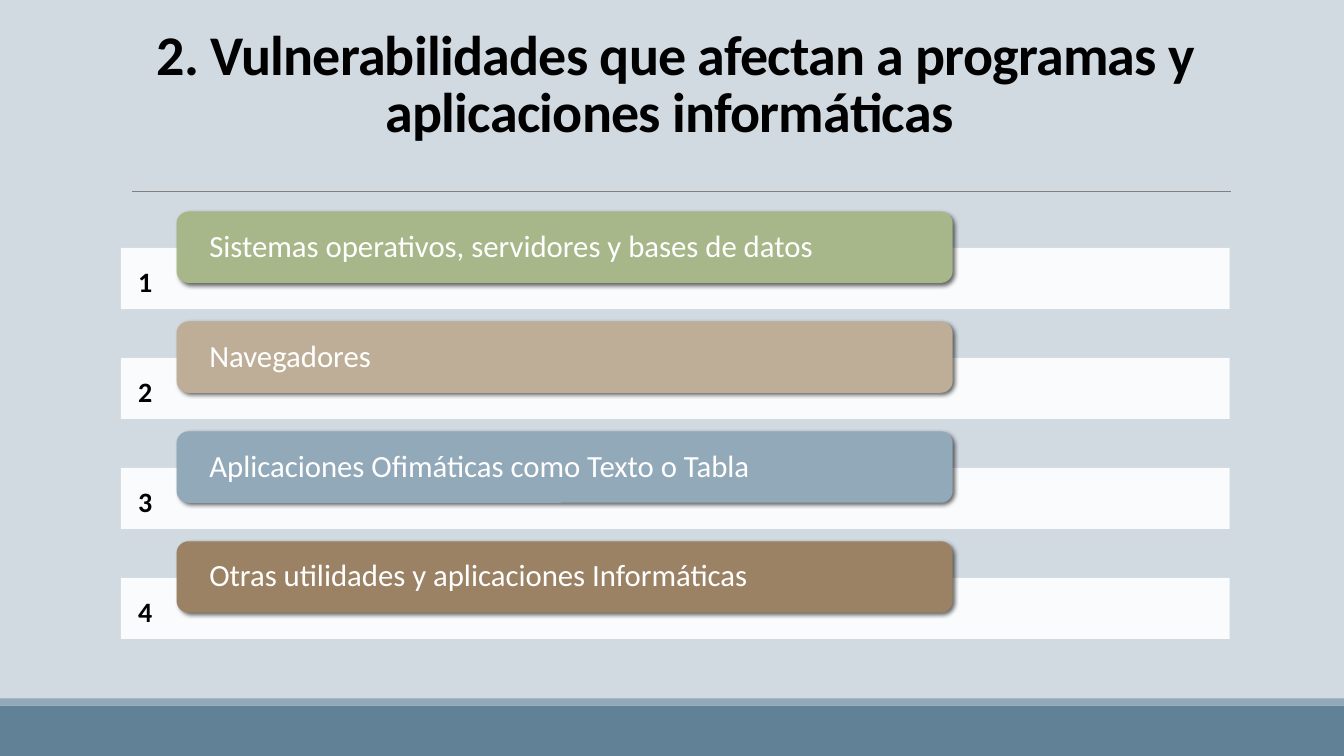
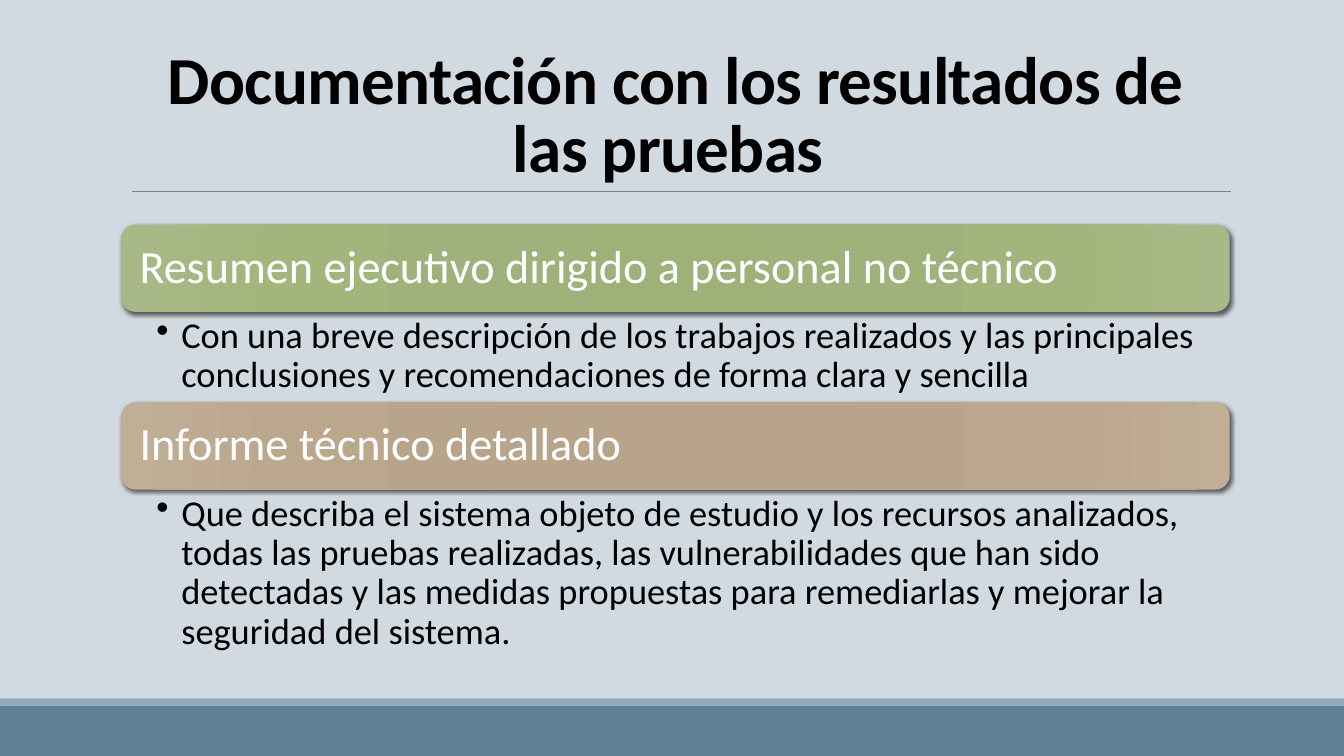
from lxml.etree import SubElement
from pptx import Presentation
from pptx.dml.color import RGBColor
from pptx.enum.shapes import MSO_CONNECTOR as Connector, MSO_SHAPE as Preset
from pptx.enum.text import MSO_ANCHOR as Anchor, MSO_AUTO_SIZE as AutoSize, PP_ALIGN as Align
from pptx.oxml.ns import qn
from pptx.util import Cm, Pt

# Shared look
FONT = "Calibri"
BLACK, WHITE = "000000", "FFFFFF"
BACKGROUND, SLATE, MIST, RULE_GREY = "D1D9E1", "618197", "92A9B9", "808080"
GREEN, SAND, BROWN = "A7B789", "BEAE98", "9C8265"
GREEN_GLOW = ("9EB179", "9FB27C", "A2B57C", "A8B987")
SAND_GLOW = ("B6A388", "B7A48B", "BBA78C", "C0AE96")
GLOW_STOPS = (0, 34, 70, 100)
CONTENT_LEFT, CONTENT_WIDTH = 3.05, 27.94

# Content
PROGRAMS = [
    ("Sistemas operativos, servidores y bases de datos", GREEN),
    ("Navegadores", SAND),
    ("Aplicaciones Ofimáticas como Texto o Tabla", MIST),
    ("Otras utilidades y aplicaciones Informáticas", BROWN),
]
REPORTS = [
    ("Resumen ejecutivo dirigido a personal no técnico", GREEN_GLOW,
     "Con una breve descripción de los trabajos realizados y las principales "
     "conclusiones y recomendaciones de forma clara y sencilla", 2.28),
    ("Informe técnico detallado", SAND_GLOW,
     "Que describa el sistema objeto de estudio y los recursos analizados, todas "
     "las pruebas realizadas, las vulnerabilidades que han sido detectadas y las "
     "medidas propuestas para remediarlas y mejorar la seguridad del sistema.", 4.27),
]


def colour(value):
    return RGBColor.from_string(value)


def lengths(*values):
    return [Cm(value) for value in values]


def node(parent, tag, **attributes):
    child = SubElement(parent, qn(tag))
    for name, value in attributes.items():
        child.set(name, str(value))
    return child


# Text
def write(frame, text, size, ink, bold=False, spacing=1.0, align=Align.LEFT):
    para = frame.paragraphs[0]
    para.alignment = align
    para.line_spacing = spacing
    span = para.add_run()
    span.text = text
    span.font.name = FONT
    span.font.size = Pt(size)
    span.font.bold = bold
    span.font.color.rgb = colour(ink)
    return para, span


def set_frame(frame, anchor, insets=(0.25, 0.13, 0.25, 0.13)):
    frame.word_wrap = True
    frame.auto_size = AutoSize.NONE
    frame.vertical_anchor = anchor
    (frame.margin_left, frame.margin_top,
     frame.margin_right, frame.margin_bottom) = lengths(*insets)


def add_text(page, area, insets=(0.25, 0.13, 0.25, 0.13)):
    box = page.shapes.add_textbox(*lengths(*area))
    set_frame(box.text_frame, Anchor.TOP, insets)
    return box.text_frame


def add_bullet(page, area, text):
    frame = add_text(page, area, (0.89, 0.13, 0.66, 0.13))
    para, _ = write(frame, text, 26, BLACK, spacing=0.9)
    properties = para._p.get_or_add_pPr()
    properties.set("marL", str(Cm(0.63)))
    properties.set("indent", str(-Cm(0.63)))
    node(properties, "a:buChar", char="•")


def set_title(page, area, text, size):
    title = page.shapes.title
    title.left, title.top, title.width, title.height = lengths(*area)
    set_frame(title.text_frame, Anchor.BOTTOM)
    _, span = write(title.text_frame, text, size, BLACK, True, 0.85, Align.CENTER)
    span.font._element.set("spc", "-50")


# Shapes
def add_block(page, area, fill, preset=Preset.RECTANGLE, opacity=100):
    block = page.shapes.add_shape(preset, *lengths(*area))
    block.shadow.inherit = False
    block.line.fill.background()
    block.fill.solid()
    block.fill.fore_color.rgb = colour(fill)
    if opacity < 100:
        tint = block.element.spPr.find(qn("a:solidFill"))[0]
        node(tint, "a:alpha", val=opacity * 1000)
    return block


def add_card(page, area, fill, text, size, insets):
    card = add_block(page, area, fill, Preset.ROUNDED_RECTANGLE)
    effects = card.element.spPr.find(qn("a:effectLst"))
    shadow = node(effects, "a:outerShdw", blurRad=Pt(3), dist=Pt(2),
                  dir=45 * 60000, algn="ctr", rotWithShape=0)
    shade = node(shadow, "a:srgbClr", val=BLACK)
    node(shade, "a:alpha", val=60000)
    set_frame(card.text_frame, Anchor.MIDDLE, insets)
    write(card.text_frame, text, size, WHITE, spacing=0.9)
    return card


def set_glow(shape, colours):
    solid = shape.element.spPr.find(qn("a:solidFill"))
    glow = node(shape.element.spPr, "a:gradFill", rotWithShape=1)
    stops = node(glow, "a:gsLst")
    for position, value in zip(GLOW_STOPS, colours):
        stop = node(stops, "a:gs", pos=position * 1000)
        node(stop, "a:srgbClr", val=value)
    circle = node(glow, "a:path", path="circle")
    node(circle, "a:fillToRect", l=100000, t=100000, r=100000, b=100000)
    shape.element.spPr.replace(solid, glow)


# Shared layout: background, footer bands and title rule
def dress_layout(layout, page):
    layout.background.fill.solid()
    layout.background.fill.fore_color.rgb = colour(BACKGROUND)
    footer = add_block(page, (0, 17.78, 33.87, 1.27), SLATE)
    strip = add_block(page, (0, 17.6, 33.87, 0.18), MIST)
    rule = page.shapes.add_connector(Connector.STRAIGHT, *lengths(3.33, 4.83, 31.01, 4.83))
    rule.line.color.rgb = colour(RULE_GREY)
    rule.line.width = Pt(0.5)
    node(rule.element.spPr, "a:effectLst")
    for order, part in enumerate((footer, strip, rule)):
        part.element.xpath("./*/p:cNvPr")[0].set("id", str(100 + order))
        layout.shapes.element.insert(2 + order, part.element)


def fill_programs(page):
    set_title(page, (1.24, 0.48, 31.57, 3.28),
              "2. Vulnerabilidades que afectan a programas y aplicaciones informáticas ", 40)
    for index, (text, fill) in enumerate(PROGRAMS):
        top = 5.33 + index * 2.77
        add_block(page, (CONTENT_LEFT, top + 0.92, CONTENT_WIDTH, 1.54), WHITE, opacity=90)
        add_card(page, (4.45, top, 19.56, 1.8), fill, text, 22, (0.74, 0, 0.74, 0))
        number = add_text(page, (3.23, top + 1.2, 1, 1.12))
        write(number, str(index + 1), 20, BLACK, bold=True)


def fill_reports(page):
    set_title(page, (CONTENT_LEFT, 0.79, CONTENT_WIDTH, 4.04),
              "Documentación con los resultados de las pruebas ", 48)
    top, card_height = 5.66, 2.2
    for heading, glow, detail, detail_height in REPORTS:
        card = add_card(page, (CONTENT_LEFT, top, CONTENT_WIDTH, card_height),
                        glow[0], heading, 33, (0.36,) * 4)
        set_glow(card, glow)
        top += card_height
        add_bullet(page, (CONTENT_LEFT, top, CONTENT_WIDTH, detail_height), detail)
        top += detail_height


def main():
    deck = Presentation()
    deck.slide_width, deck.slide_height = lengths(33.87, 19.05)
    layout = deck.slide_layouts[5]
    programs, reports = [deck.slides.add_slide(layout) for _ in range(2)]
    dress_layout(layout, programs)
    fill_programs(programs)
    fill_reports(reports)
    deck.save("out.pptx")


if __name__ == "__main__":
    main()
